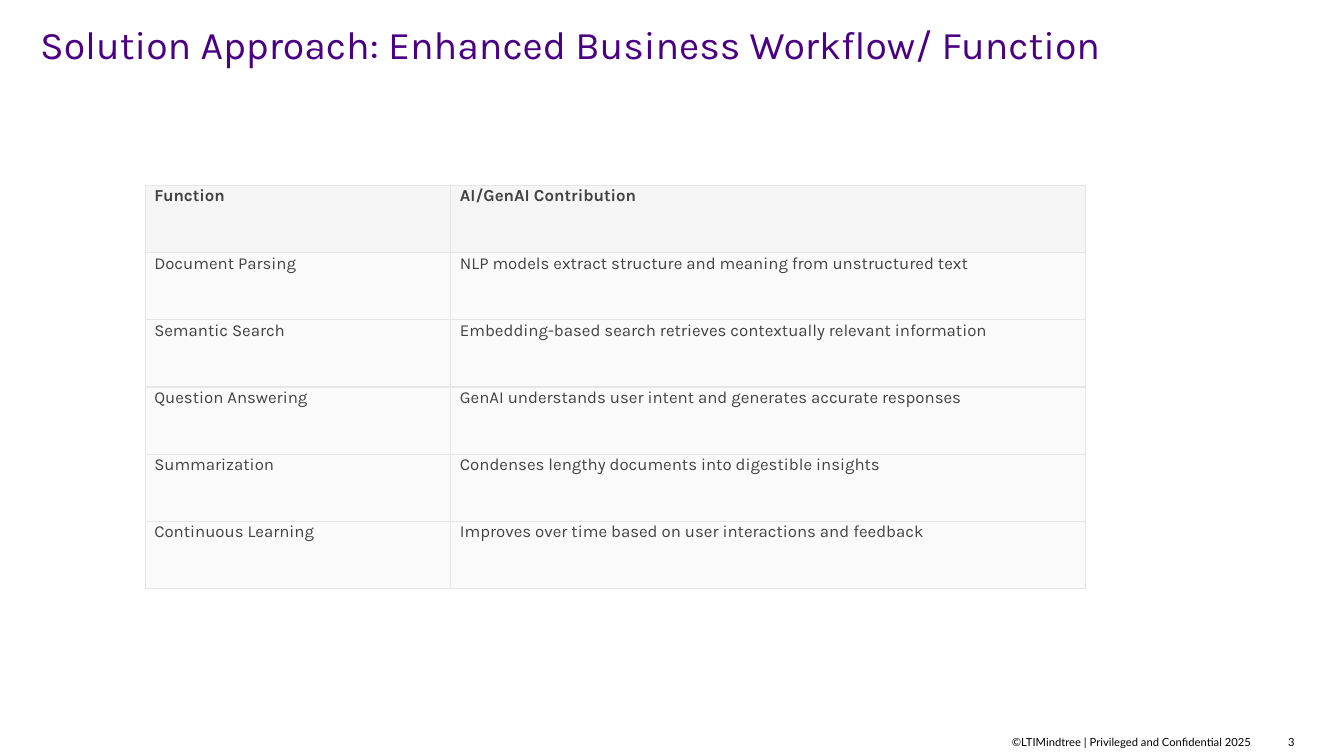
from lxml.etree import SubElement
from pptx import Presentation
from pptx.dml.color import RGBColor
from pptx.enum.text import MSO_ANCHOR, PP_ALIGN
from pptx.oxml.ns import qn
from pptx.util import Inches, Pt

INDIGO = RGBColor(0x4B, 0x00, 0x82)
SKY = RGBColor(0x0F, 0x99, 0xE2)
BLACK = RGBColor(0x00, 0x00, 0x00)
TEXT_GREY = RGBColor(0x42, 0x42, 0x42)
HEADER_FILL = RGBColor(0xF5, 0xF5, 0xF5)
BODY_FILL = RGBColor(0xFA, 0xFA, 0xFA)
BORDER = RGBColor(0xE6, 0xE6, 0xE6)

TITLE_FONT = {"name": "Karla", "size": Pt(28)}
CELL_FONT = {"name": "Karla", "size": Pt(12)}
FOOTER_FONT = {"name": "Lato", "size": Pt(8)}
CELL_MARGINS = {
    "margin_left": Inches(0.09),
    "margin_right": Inches(0.01),
    "margin_top": Inches(0.01),
    "margin_bottom": 0,
}
COLUMN_SHARES = (0.325, 0.675)

FUNCTIONS = [
    ("Function", "AI/GenAI Contribution"),
    ("Document Parsing", "NLP models extract structure and meaning from unstructured text"),
    ("Semantic Search", "Embedding-based search retrieves contextually relevant information"),
    ("Question Answering", "GenAI understands user intent and generates accurate responses"),
    ("Summarization", "Condenses lengthy documents into digestible insights"),
    ("Continuous Learning", "Improves over time based on user interactions and feedback"),
]


def set_attributes(target, values):
    for name, value in values.items():
        setattr(target, name, value)


def add_text(slide, box, text, font, frame_format=None, paragraph_format=None):
    """Add a one-paragraph text box and return its run."""
    frame = slide.shapes.add_textbox(*map(Inches, box)).text_frame
    frame.word_wrap = True
    set_attributes(frame, frame_format or {})
    paragraph = frame.paragraphs[0]
    set_attributes(paragraph, paragraph_format or {})
    run = paragraph.add_run()
    run.text = text
    set_attributes(run.font, font)
    return run


def add_title(slide, box):
    run = add_text(slide, box, "Solution Approach: Enhanced Business Workflow/ Function", TITLE_FONT)
    fill = run.font.fill
    fill.gradient()
    fill.gradient_angle = 130
    for stop, color, position in zip(fill.gradient_stops, (INDIGO, SKY), (0.01, 0.88)):
        stop.color.rgb = color
        stop.position = position


def add_footer(slide, box):
    """Place the copyright line and the page number side by side in the box."""
    left, top, width, height = box
    number_width = 0.44
    notice_width = width - number_width
    middle = {"vertical_anchor": MSO_ANCHOR.MIDDLE}
    number_frame = middle | {
        "margin_left": Inches(0.11),
        "margin_right": Inches(0.11),
        "margin_top": Inches(0.06),
        "margin_bottom": Inches(0.06),
    }
    right = {"alignment": PP_ALIGN.RIGHT}
    notice_paragraph = right | {"line_spacing": 1.07, "space_after": Pt(8)}
    notice = add_text(slide, (left, top, notice_width, height),
                      "©LTIMindtree | Privileged and Confidential 2025",
                      FOOTER_FONT, middle, notice_paragraph)
    number = add_text(slide, (left + notice_width, top, number_width, height),
                      "3", FOOTER_FONT, number_frame, right)
    for run in (notice, number):
        run.font.color.rgb = BLACK


def add_cell_borders(cell):
    """Put the four lines before the fill, as the schema orders them."""
    properties = cell._tc.get_or_add_tcPr()
    for index, side in enumerate(("lnL", "lnR", "lnT", "lnB")):
        line = SubElement(properties, qn(f"a:{side}"), w=str(Pt(1)))
        fill = SubElement(line, qn("a:solidFill"))
        SubElement(fill, qn("a:srgbClr"), val=str(BORDER))
        properties.insert(index, line)


def add_function_table(slide, box):
    left, top, width, height = map(Inches, box)
    table = slide.shapes.add_table(
        len(FUNCTIONS), len(COLUMN_SHARES), left, top, width, height).table
    table.horz_banding = False
    for column, share in zip(table.columns, COLUMN_SHARES):
        column.width = int(width * share)
    for row_index, texts in enumerate(FUNCTIONS):
        is_header = row_index == 0
        for column_index, text in enumerate(texts):
            cell = table.cell(row_index, column_index)
            set_attributes(cell, CELL_MARGINS)
            cell.fill.solid()
            cell.fill.fore_color.rgb = HEADER_FILL if is_header else BODY_FILL
            add_cell_borders(cell)
            run = cell.text_frame.paragraphs[0].add_run()
            run.text = text
            set_attributes(run.font, CELL_FONT | {"bold": is_header})
            run.font.color.rgb = TEXT_GREY


def main():
    presentation = Presentation()
    presentation.slide_width = Inches(13.33)
    presentation.slide_height = Inches(7.5)
    slide = presentation.slides.add_slide(presentation.slide_layouts[6])
    add_footer(slide, (8.28, 7.24, 4.67, 0.24))
    add_title(slide, (0.3, 0.15, 12.27, 0.48))
    add_function_table(slide, (1.44, 1.84, 9.33, 4))
    presentation.save("out.pptx")


if __name__ == "__main__":
    main()
